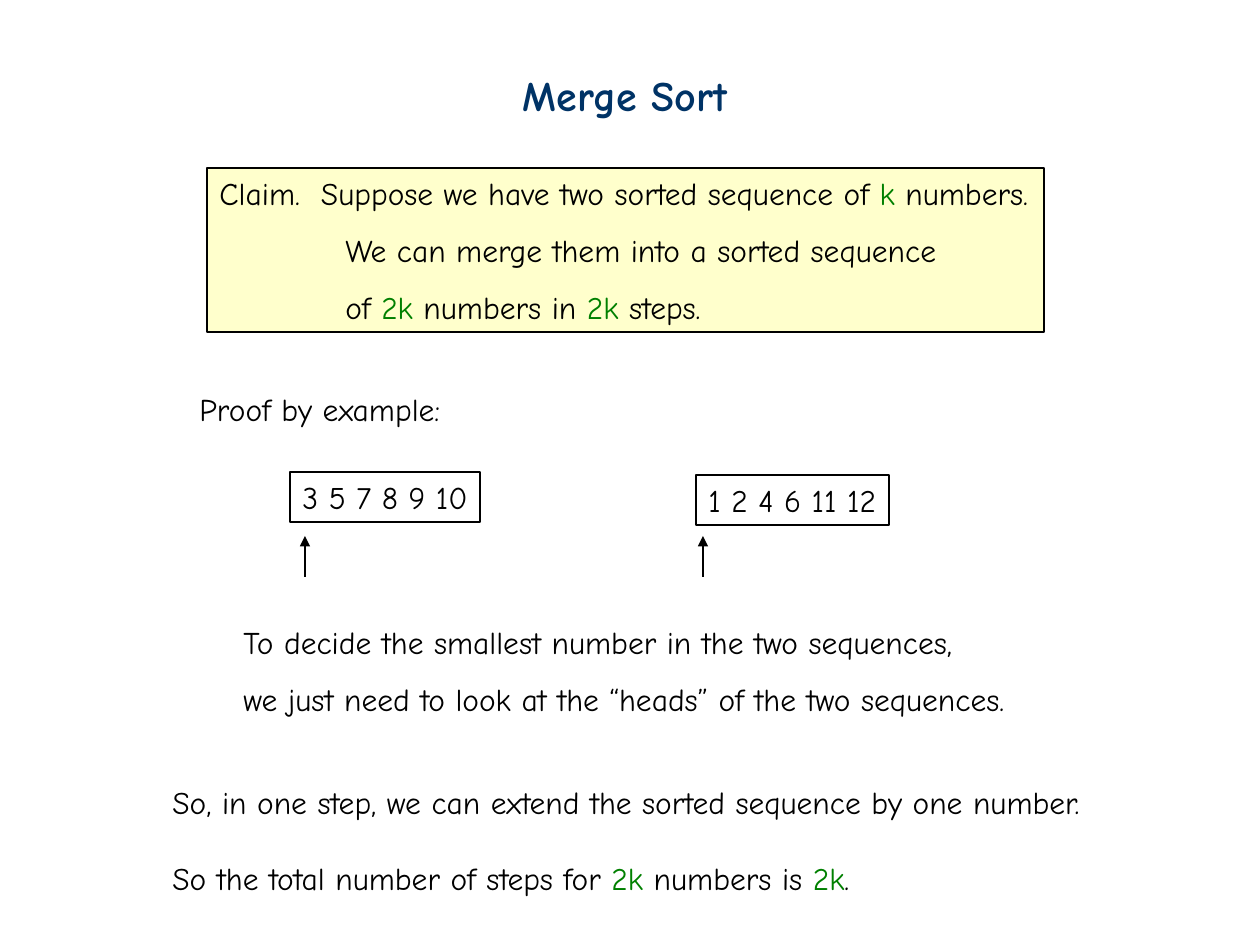
"""Build the Merge Sort slide with its claim and proof by example."""
import pptx
import pptx.dml.color
import pptx.enum.shapes
import pptx.enum.text
import pptx.oxml.ns
import pptx.util
from lxml import etree

FONT = "Comic Neue"
NAVY = pptx.dml.color.RGBColor(0x00, 0x33, 0x66)
BLACK = pptx.dml.color.RGBColor(0x00, 0x00, 0x00)
GREEN = pptx.dml.color.RGBColor(0x00, 0x80, 0x00)
CREAM = pptx.dml.color.RGBColor(0xFF, 0xFF, 0xCC)


def px(count):
    return pptx.util.Emu(round(count * 914400 / 126))


def style(run, size, color, bold=False):
    run.font.name = FONT
    run.font.size = pptx.util.Pt(size)
    run.font.bold = bold
    run.font.color.rgb = color


def add_title(slide, text, left, top, width, height):
    title = slide.shapes.title
    title.left, title.top = px(left), px(top)
    title.width, title.height = px(width), px(height)
    frame = title.text_frame
    frame.text = text
    frame.word_wrap = False
    frame.auto_size = pptx.enum.text.MSO_AUTO_SIZE.NONE
    frame.vertical_anchor = pptx.enum.text.MSO_ANCHOR.TOP
    style(frame.paragraphs[0].runs[0], 24, NAVY, True)


def fill_line(para, text):
    """Write text into para, with the parts between bars in green."""
    for index, part in enumerate(text.split("|")):
        run = para.add_run()
        run.text = part
        style(run, 18, GREEN if index % 2 else BLACK)


def add_text(slide, lines, left, top, width, height, spacing=1.0, gap=0, indent=0):
    box = slide.shapes.add_textbox(px(left), px(top), px(width), px(height))
    frame = box.text_frame
    frame.word_wrap = False
    frame.auto_size = pptx.enum.text.MSO_AUTO_SIZE.SHAPE_TO_FIT_TEXT
    fill_line(frame.paragraphs[0], lines[0])
    for line in lines[1:]:
        para = frame.add_paragraph()
        para.line_spacing = spacing
        para.space_before = pptx.util.Pt(gap)
        if indent:
            props = para._p.get_or_add_pPr()
            props.set("marL", str(px(indent)))
            props.set("indent", "0")
        fill_line(para, line)
    return box


def add_frame(box, fill=None):
    box.line.color.rgb = BLACK
    box.line.width = pptx.util.Pt(0.75)
    if fill is not None:
        box.fill.solid()
        box.fill.fore_color.rgb = fill


def add_arrow(slide, x, start, end):
    arrow = slide.shapes.add_connector(
        pptx.enum.shapes.MSO_CONNECTOR.STRAIGHT, px(x), px(start), px(x), px(end))
    arrow.line.color.rgb = BLACK
    arrow.line.width = pptx.util.Pt(0.75)
    qn = pptx.oxml.ns.qn
    etree.SubElement(arrow.line._get_or_add_ln(), qn("a:tailEnd"), type="triangle")
    etree.SubElement(arrow._element.spPr, qn("a:effectLst"))


def main():
    deck = pptx.Presentation()
    deck.slide_width, deck.slide_height = px(1260), px(945)
    slide = deck.slides.add_slide(deck.slide_layouts[5])
    add_title(slide, "Merge Sort", 510, 63, 230, 63)

    claim = ["Claim.  Suppose we have two sorted sequence of |k| numbers.",
             "We can merge them into a sorted sequence",
             "of |2k| numbers in |2k| steps."]
    add_frame(add_text(slide, claim, 207, 168, 837, 164, spacing=1.5, indent=126), CREAM)

    add_text(slide, ["Proof by example:"], 187, 384, 267, 50)
    for text, left, top, width, head in [
            ("3 5 7 8 9 10", 290, 472, 190, 305),
            ("1 2 4 6 11 12", 696, 475, 193, 703)]:
        add_frame(add_text(slide, [text], left, top, width, 50))
        add_arrow(slide, head, 577, 536)

    heads = ["To decide the smallest number in the two sequences,",
             "we just need to look at the “heads” of the two sequences."]
    add_text(slide, heads, 231, 617, 789, 107, spacing=1.5)

    steps = ["So, in one step, we can extend the sorted sequence by one number.",
             "So the total number of steps for |2k| numbers is |2k|."]
    add_text(slide, steps, 160, 777, 939, 126, gap=21.7)
    deck.save("out.pptx")


if __name__ == "__main__":
    main()
